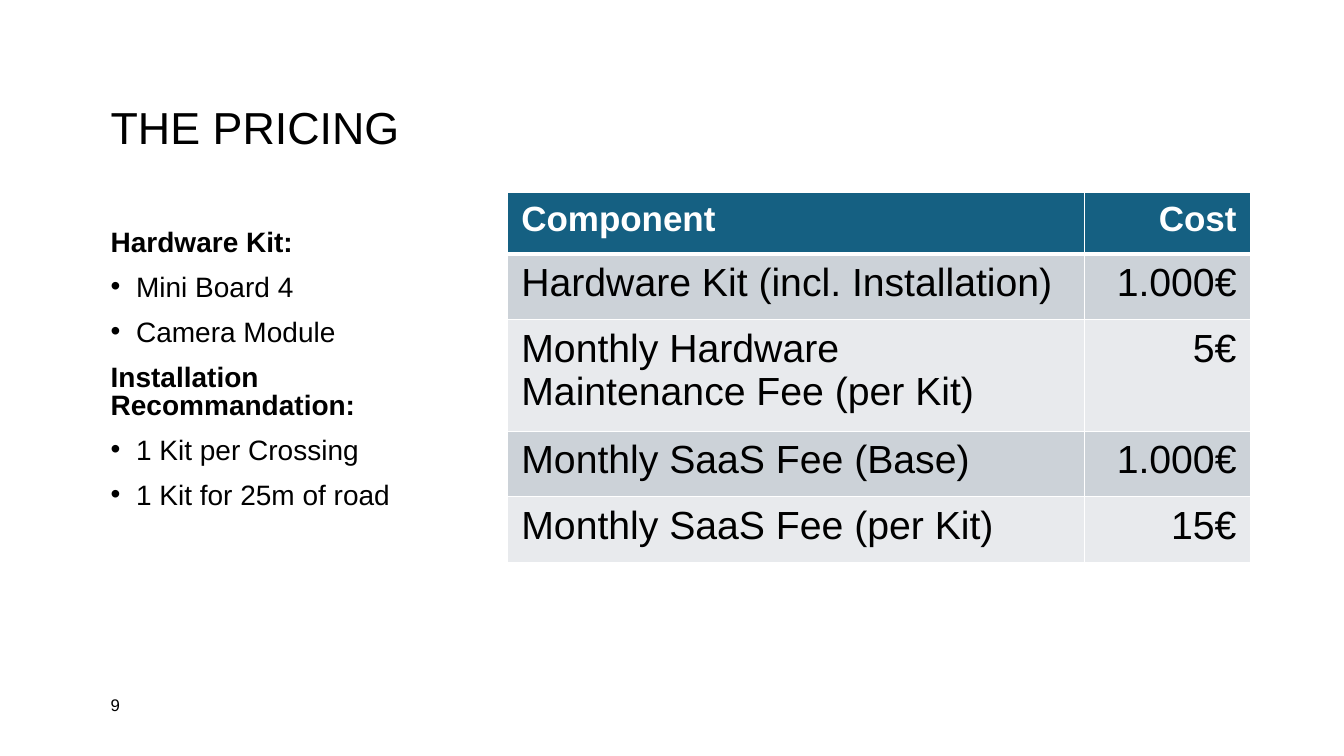
from lxml import etree
from pptx import Presentation
from pptx.dml.color import RGBColor
from pptx.enum.text import MSO_ANCHOR, PP_ALIGN
from pptx.oxml import parse_xml
from pptx.oxml.ns import nsdecls, qn
from pptx.util import Cm, Pt

MIDDLE, TOP = MSO_ANCHOR.MIDDLE, MSO_ANCHOR.TOP
LEFT, RIGHT = PP_ALIGN.LEFT, PP_ALIGN.RIGHT


def color(code):
    return RGBColor.from_string(code)


def write(par, text, size, bold=False, ink="000000"):
    run = par.add_run()
    run.text = text
    font = run.font
    font.name, font.size, font.bold = "Arial", Pt(size), bold
    font.color.rgb = color(ink)


deck = Presentation()
deck.slide_width, deck.slide_height = Cm(33.87), Cm(19.05)
slide = deck.slides.add_slide(deck.slide_layouts[6])

# Text boxes: title, kit list, page number
frames = []
for top, width, height, anchor in [
    (1.02, 29, 4.5, MIDDLE),
    (5.66, 9.2, 7.7, TOP),
    (17.35, 1.75, 0.81, MIDDLE),
]:
    box = slide.shapes.add_textbox(Cm(2.54), Cm(top), Cm(width), Cm(height))
    frame = box.text_frame
    frame.word_wrap = True
    frame.vertical_anchor = anchor
    frames.append(frame)
title, kit, page = frames

title.paragraphs[0].line_spacing = 0.9
write(title.paragraphs[0], "THE PRICING", 32)
write(page.paragraphs[0], "9", 12)

# Kit list: bold headings, bulleted items
lines = [
    ("Hardware Kit:", True),
    ("Mini Board 4", False),
    ("Camera Module", False),
    ("Installation Recommandation:", True),
    ("1 Kit per Crossing", False),
    ("1 Kit for 25m of road", False),
]
for i, (text, head) in enumerate(lines):
    par = kit.add_paragraph() if i else kit.paragraphs[0]
    par.line_spacing = 0.84
    par.space_after = Pt(12)
    if not head:
        props = par._p.get_or_add_pPr()
        props.set("marL", str(Cm(0.64)))
        props.set("indent", str(-Cm(0.64)))
        etree.SubElement(props, qn("a:buFont")).set("typeface", "Arial")
        etree.SubElement(props, qn("a:buChar")).set("char", "•")
    write(par, text, 20, head)

# Price table
prices = [
    ("Component", "Cost"),
    ("Hardware Kit (incl. Installation)", "1.000€"),
    ("Monthly Hardware Maintenance Fee (per Kit)", "5€"),
    ("Monthly SaaS Fee (Base)", "1.000€"),
    ("Monthly SaaS Fee (per Kit)", "15€"),
]
widths = [14.55, 4.19]
heights = [1.55, 1.65, 2.82, 1.65, 1.65]
table = slide.shapes.add_table(
    len(prices), 2, Cm(12.78), Cm(4.85), Cm(sum(widths)), Cm(sum(heights))
).table
for col, width in zip(table.columns, widths):
    col.width = Cm(width)
for r, row in enumerate(prices):
    table.rows[r].height = Cm(heights[r])
    head = r == 0
    fill = "156082" if head else ("E8EAED", "CCD2D8")[r % 2]
    for c, text in enumerate(row):
        cell = table.cell(r, c)
        cell.margin_left = cell.margin_right = Cm(0.36)
        cell.margin_top = cell.margin_bottom = Cm(0.18)
        cell.fill.solid()
        cell.fill.fore_color.rgb = color(fill)
        par = cell.text_frame.paragraphs[0]
        par.alignment = RIGHT if c else LEFT
        write(par, text, 25 if head else 28, head, "FFFFFF" if head else "000000")

        # White borders, thicker under the header
        props = cell._tc.get_or_add_tcPr()
        for n, side in enumerate("LRTB"):
            thick = (r, side) in [(0, "B"), (1, "T")]
            props.insert(n, parse_xml(
                f'<a:ln{side} {nsdecls("a")} w="{Pt(3 if thick else 1)}">'
                '<a:solidFill><a:srgbClr val="FFFFFF"/></a:solidFill>'
                f'</a:ln{side}>'
            ))

deck.save("out.pptx")
